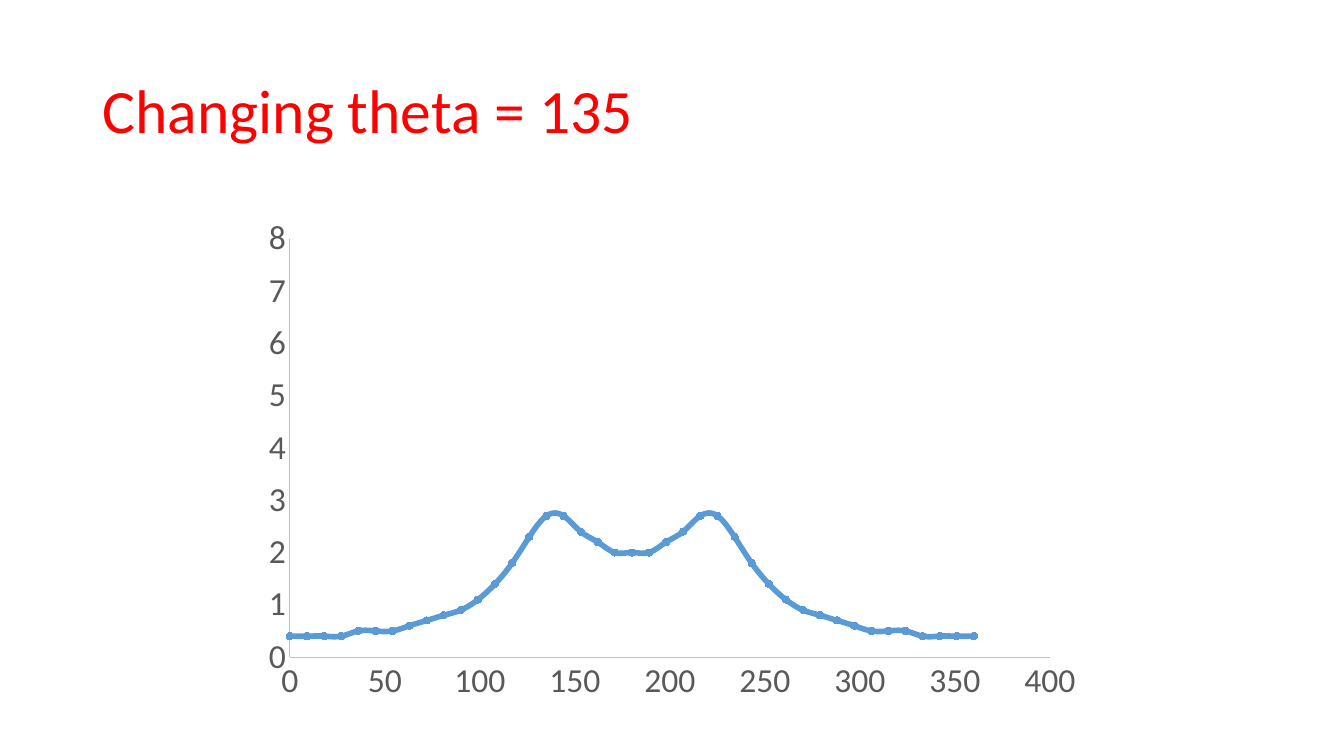
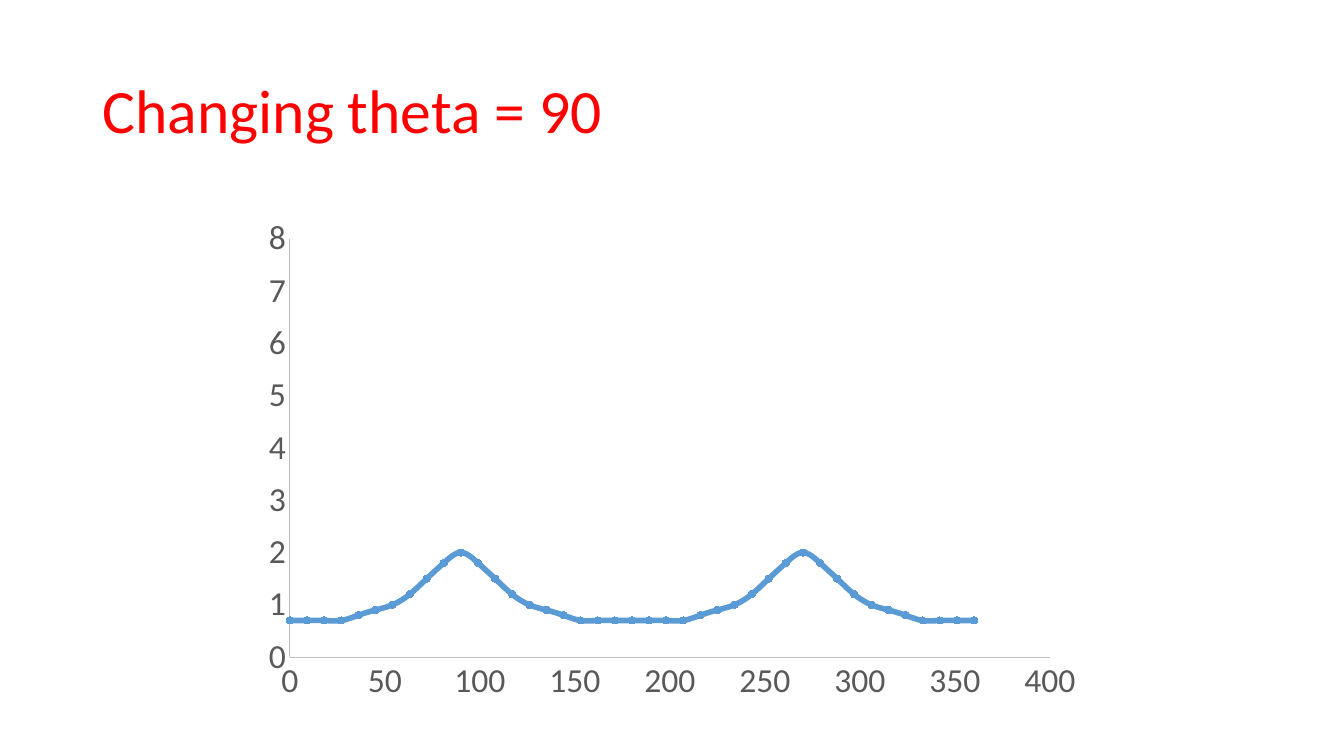
from lxml import etree
from pptx import Presentation
from pptx.chart.data import XyChartData
from pptx.dml.color import RGBColor
from pptx.enum.chart import XL_CHART_TYPE as ChartType
from pptx.enum.chart import XL_MARKER_STYLE as Marker
from pptx.enum.chart import XL_TICK_MARK as TickMark
from pptx.enum.text import MSO_ANCHOR as Anchor
from pptx.oxml.ns import qn
from pptx.util import Inches, Pt

FONT = "Calibri"
COLORS = {"title": "FF0000", "curve": "5B9BD5", "label": "595959",
          "axis": "BFBFBF", "page": "FFFFFF"}
ANGLE_STEP = 9


def mirror(values):
    """Append the values in reverse, sharing the middle point."""
    return values + values[-2::-1]


# Content: title and curve, one value every ANGLE_STEP degrees
HALF_135 = [0.4, 0.4, 0.4, 0.4, 0.5, 0.5, 0.5, 0.6, 0.7, 0.8, 0.9,
            1.1, 1.4, 1.8, 2.3, 2.7, 2.7, 2.4, 2.2, 2, 2]
QUARTER_90 = [0.7, 0.7, 0.7, 0.7, 0.8, 0.9, 1, 1.2, 1.5, 1.8, 2]
SLIDES = [
    ("Changing theta = 135", mirror(HALF_135)),
    ("Changing theta = 90", mirror(mirror(QUARTER_90))),
]

# Places: left, top, width, height
TITLE_AREA = [Inches(n) for n in (0.92, 0.4, 11.5, 1.45)]
CHART_AREA = [Inches(n) for n in (2.5, 2.07, 8.34, 5)]
PLOT_SHARE = {"x": 0.045, "y": 0.06, "w": 0.904, "h": 0.83}


def color(name):
    return RGBColor.from_string(COLORS[name])


def add_title(page, text):
    frame = page.shapes.add_textbox(*TITLE_AREA).text_frame
    frame.word_wrap = True
    frame.vertical_anchor = Anchor.MIDDLE
    para = frame.paragraphs[0]
    para.line_spacing = 0.9
    span = para.add_run()
    span.text = text
    span.font.name = FONT
    span.font.size = Pt(44)
    span.font.color.rgb = color("title")


def style_axis(axis, maximum, step):
    axis.minimum_scale = 0
    axis.maximum_scale = maximum
    axis.major_unit = step
    axis.has_major_gridlines = False
    axis.major_tick_mark = axis.minor_tick_mark = TickMark.NONE
    axis.format.line.color.rgb = color("axis")
    axis.format.line.width = Pt(0.75)
    labels = axis.tick_labels
    labels.number_format = "General"
    labels.number_format_is_linked = False
    labels.font.name = FONT
    labels.font.size = Pt(24)
    labels.font.color.rgb = color("label")


def place_plot(chart):
    """Fix the inner plot area as shares of the chart frame."""
    plot_area = chart._chartSpace.find(".//" + qn("c:plotArea"))
    for old in plot_area.findall(qn("c:layout")):
        plot_area.remove(old)
    layout = etree.Element(qn("c:layout"))
    manual = etree.SubElement(layout, qn("c:manualLayout"))
    settings = {"layoutTarget": "inner", "xMode": "edge", "yMode": "edge",
                **PLOT_SHARE}
    for name, value in settings.items():
        etree.SubElement(manual, qn("c:" + name)).set("val", str(value))
    plot_area.insert(0, layout)


def smooth_curve(chart):
    """Scatter series have no public smooth setting."""
    for series in chart._chartSpace.iter(qn("c:ser")):
        smooth = series.find(qn("c:smooth"))
        if smooth is None:
            smooth = etree.SubElement(series, qn("c:smooth"))
        smooth.set("val", "1")


def add_curve(page, values):
    data = XyChartData()
    points = data.add_series("Series 1")
    for index, value in enumerate(values):
        points.add_data_point(index * ANGLE_STEP, value)
    chart = page.shapes.add_chart(
        ChartType.XY_SCATTER_SMOOTH, *CHART_AREA, data).chart
    chart.has_legend = False
    chart.has_title = False
    chart.font.name = FONT
    chart.font.size = Pt(10)
    chart.plots[0].vary_by_categories = False
    style_axis(chart.category_axis, 400, 50)
    style_axis(chart.value_axis, 8, 1)
    place_plot(chart)
    smooth_curve(chart)

    series = chart.plots[0].series[0]
    series.format.line.color.rgb = color("curve")
    series.format.line.width = Pt(4)
    series.marker.style = Marker.CIRCLE
    series.marker.size = 5
    series.marker.format.fill.solid()
    series.marker.format.fill.fore_color.rgb = color("curve")
    series.marker.format.line.color.rgb = color("curve")


def main():
    deck = Presentation()
    deck.slide_width, deck.slide_height = Inches(13.33), Inches(7.5)
    background = deck.slide_master.background.fill
    background.solid()
    background.fore_color.rgb = color("page")
    for title, values in SLIDES:
        page = deck.slides.add_slide(deck.slide_layouts[6])
        add_title(page, title)
        add_curve(page, values)
    deck.save("out.pptx")


if __name__ == "__main__":
    main()
